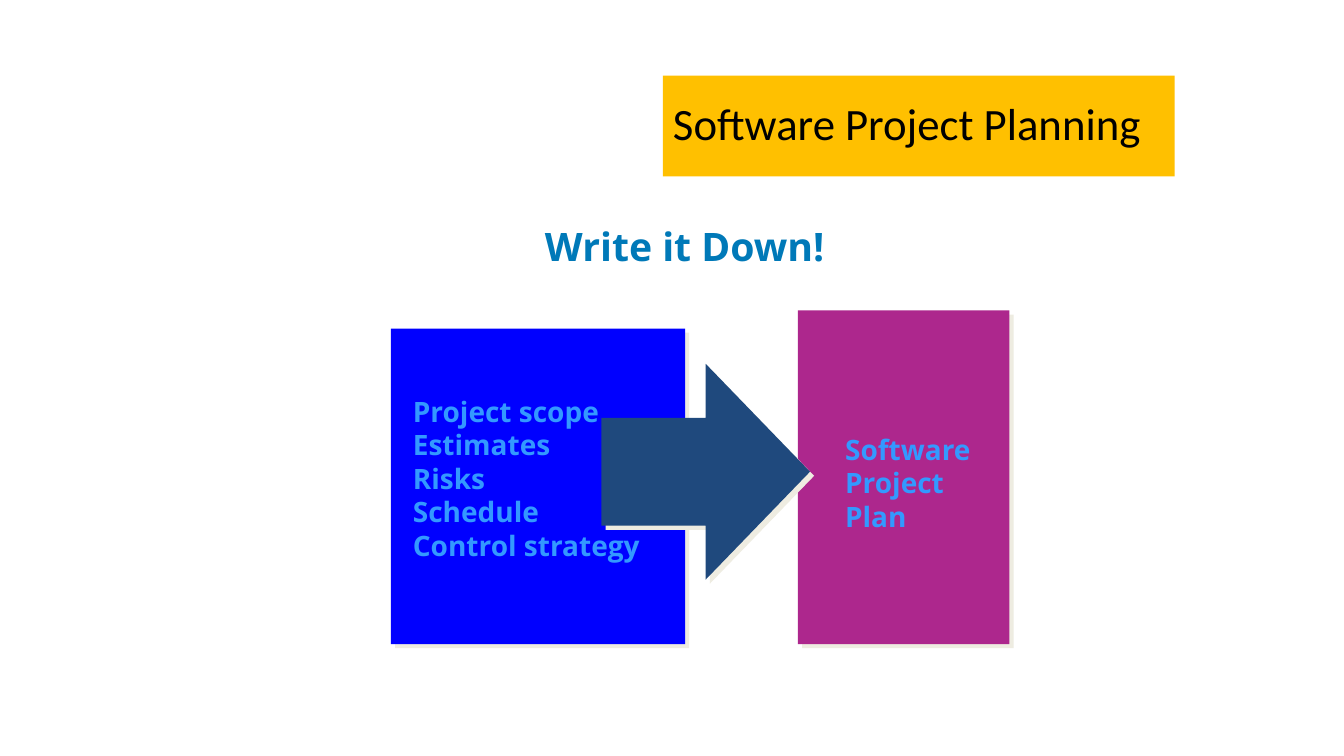
from dataclasses import dataclass

from lxml import etree
from pptx import Presentation
from pptx.dml.color import RGBColor
from pptx.enum.shapes import MSO_SHAPE
from pptx.enum.text import MSO_ANCHOR, MSO_AUTO_SIZE, PP_ALIGN
from pptx.oxml.ns import qn
from pptx.util import Inches, Pt

RECTANGLE = MSO_SHAPE.RECTANGLE
RIGHT_ARROW = MSO_SHAPE.RIGHT_ARROW
MIDDLE = MSO_ANCHOR.MIDDLE
TOP = MSO_ANCHOR.TOP
LEFT = PP_ALIGN.LEFT
CENTER = PP_ALIGN.CENTER
FIT_SHAPE = MSO_AUTO_SIZE.SHAPE_TO_FIT_TEXT
NO_FIT = MSO_AUTO_SIZE.NONE
TITLE_ONLY = 5


@dataclass(frozen=True)
class Theme:
    title_font: str = "Calibri"
    body_font: str = "Open Sans"
    title_size: int = 32
    heading_size: int = 28
    body_size: int = 20
    title_text: str = "000000"
    title_fill: str = "FFC000"
    heading_text: str = "0079B8"
    body_text: str = "3399FF"
    inputs_fill: str = "0000FF"
    plan_fill: str = "AD278D"
    arrow_fill: str = "1F497D"
    shadow: str = "EEECE1"
    shadow_distance: float = 4.2
    shadow_angle: int = 45


THEME = Theme()


def fill_solid(shape, color):
    shape.fill.solid()
    shape.fill.fore_color.rgb = RGBColor.from_string(color)


def set_font(paragraph, name, size, color, bold):
    font = paragraph.font
    font.name = name
    font.size = Pt(size)
    font.bold = bold
    font.color.rgb = RGBColor.from_string(color)


def add_hard_shadow(shape):
    shape.shadow.inherit = False
    effects = shape._element.spPr.find(qn("a:effectLst"))
    shadow = etree.SubElement(
        effects,
        qn("a:outerShdw"),
        blurRad="0",
        dist=str(Pt(THEME.shadow_distance)),
        dir=str(THEME.shadow_angle * 60000),
        algn="ctr",
        rotWithShape="0",
    )
    etree.SubElement(shadow, qn("a:srgbClr"), val=THEME.shadow)


def set_title(slide, text, left, top, width, height):
    title = slide.shapes.title
    title.left, title.top = Inches(left), Inches(top)
    title.width, title.height = Inches(width), Inches(height)
    fill_solid(title, THEME.title_fill)
    frame = title.text_frame
    frame.text = text
    frame.vertical_anchor = MIDDLE
    frame.auto_size = NO_FIT
    paragraph = frame.paragraphs[0]
    paragraph.alignment = LEFT
    paragraph.line_spacing = 0.9
    set_font(paragraph, THEME.title_font, THEME.title_size, THEME.title_text, False)


def add_block(slide, kind, color, left, top, width, height):
    shape = slide.shapes.add_shape(
        kind, Inches(left), Inches(top), Inches(width), Inches(height)
    )
    fill_solid(shape, color)
    shape.line.fill.background()
    add_hard_shadow(shape)


def add_text(slide, lines, size, color, left, top, width, height, heading=False):
    box = slide.shapes.add_textbox(
        Inches(left), Inches(top), Inches(width), Inches(height)
    )
    frame = box.text_frame
    frame.text = "\n".join(lines)
    frame.word_wrap = heading
    frame.auto_size = NO_FIT if heading else FIT_SHAPE
    frame.vertical_anchor = MIDDLE if heading else TOP
    for paragraph in frame.paragraphs:
        paragraph.alignment = CENTER if heading else LEFT
        set_font(paragraph, THEME.body_font, size, color, True)


def main():
    presentation = Presentation()
    presentation.slide_width = Inches(13.34)
    presentation.slide_height = Inches(7.5)
    slide = presentation.slides.add_slide(presentation.slide_layouts[TITLE_ONLY])

    set_title(slide, "Software Project Planning", 6.58, 0.75, 5.08, 1)
    add_text(slide, ["Write it Down!"], THEME.heading_size, THEME.heading_text,
             3.36, 2.09, 6.87, 0.69, heading=True)

    add_block(slide, RECTANGLE, THEME.plan_fill, 7.92, 3.08, 2.1, 3.31)
    add_text(slide, ["Software", "Project", "Plan"],
             THEME.body_size, THEME.body_text, 8.29, 4.24, 1.45, 1.1)

    add_block(slide, RECTANGLE, THEME.inputs_fill, 3.88, 3.26, 2.92, 3.13)
    inputs = ["Project scope", "Estimates", "Risks", "Schedule", "Control strategy"]
    add_text(slide, inputs, THEME.body_size, THEME.body_text, 4, 3.86, 2.46, 1.76)

    add_block(slide, RIGHT_ARROW, THEME.arrow_fill, 5.97, 3.61, 2.07, 2.14)

    presentation.save("out.pptx")


if __name__ == "__main__":
    main()
